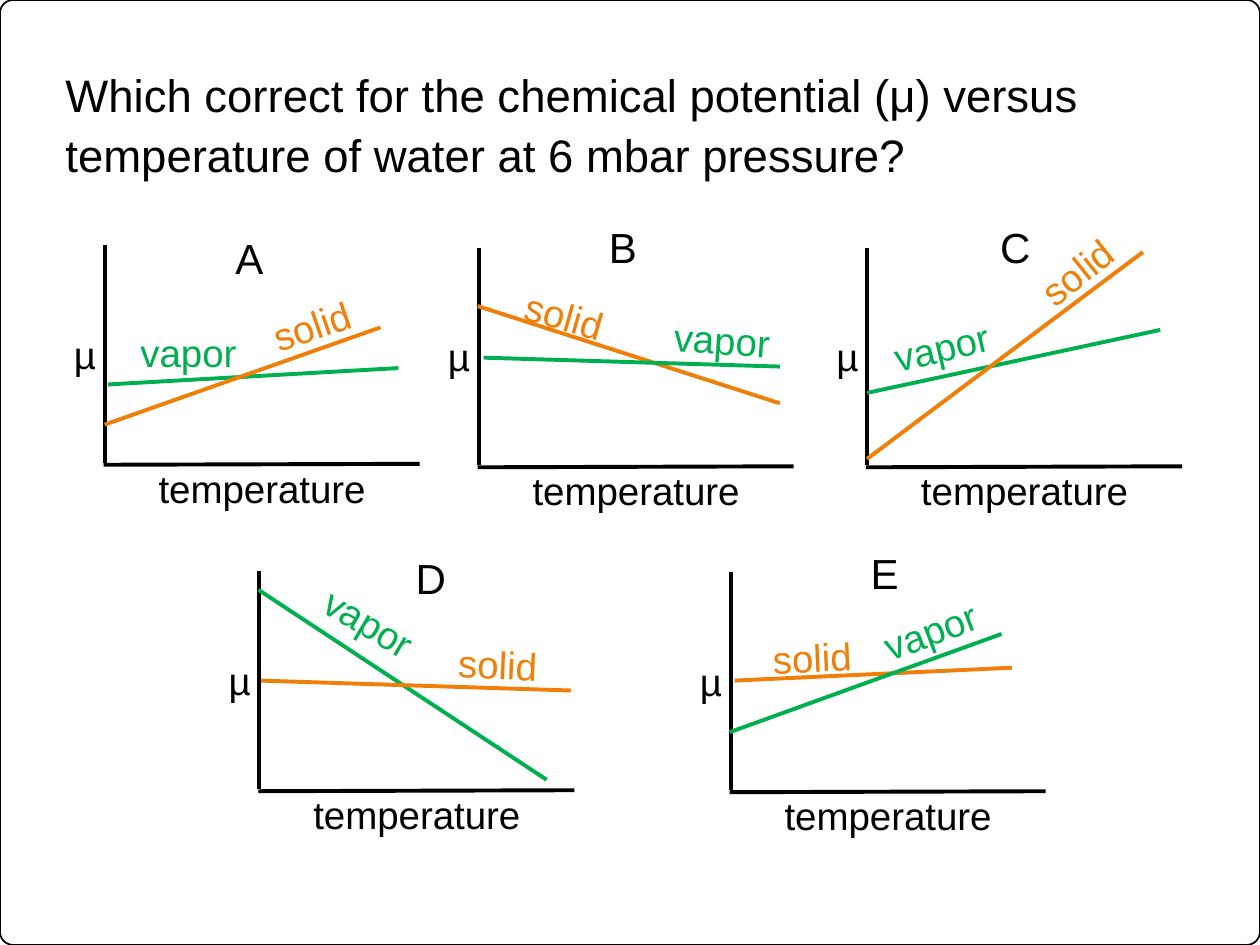
"""Build a quiz slide with five chemical potential versus temperature diagrams."""
from lxml import etree
from pptx import Presentation
from pptx import util as u
from pptx.dml.color import RGBColor
from pptx.enum import shapes, text
from pptx.oxml import ns

BLACK = RGBColor(0x00, 0x00, 0x00)
GREEN = RGBColor(0x00, 0xB0, 0x50)
ORANGE = RGBColor(0xF0, 0x7F, 0x09)
PHASE_COLORS = {"vapor": GREEN, "solid": ORANGE}

QUESTION = ("Which correct for the chemical potential (μ) versus "
            "temperature of water at 6 mbar pressure?")

# Per diagram: letter box (left, top, width), axes origin, and per phase
# the line (x1, y1, x2, y2) and label (left, top, width, rotation), in cm.
DIAGRAMS = {
    "A": ((4.19, 4.57, 1.68), (2.11, 9.37), {
        "vapor": ((8.03, 7.42, 2.18, 7.75), (2.39, 6.5, 2.82, 0)),
        "solid": ((7.67, 6.6, 2.11, 8.56), (4.78, 5.97, 3, 341))}),
    "B": ((11.96, 4.34, 1.19), (9.65, 9.42), {
        "solid": ((9.63, 6.17, 15.72, 8.13), (10.31, 5.77, 2.13, 15.9)),
        "vapor": ((9.75, 7.21, 15.72, 7.39), (13.31, 6.25, 2.49, 4))}),
    "C": ((19.91, 4.34, 0.84), (17.48, 9.42), {
        "vapor": ((17.48, 7.92, 23.39, 6.65), (17.48, 6.4, 3, 346.8)),
        "solid": ((17.48, 9.25, 23.04, 5.08), (20.65, 4.88, 2.13, 321.4))}),
    "D": ((8.13, 11.02, 0.89), (5.23, 15.95), {
        "vapor": ((5.21, 11.89, 11.02, 15.72), (6.2, 11.96, 2.49, 30.8)),
        "solid": ((5.26, 13.72, 11.51, 13.92), (8.97, 12.8, 2.13, 2.6))}),
    "E": ((17.15, 10.92, 1.37), (14.73, 15.97), {
        "solid": ((20.4, 13.46, 14.81, 13.72), (14.96, 12.65, 2.82, 357.3)),
        "vapor": ((20.19, 12.78, 14.71, 14.76), (17.25, 12.12, 3, 339.5))}),
}


class QuizSlide:
    font = "Arial"
    line_width = u.Pt(2.25)

    def __init__(self, slide):
        self.shapes = slide.shapes

    def frame(self, width, height):
        border = self.shapes.add_shape(
            shapes.MSO_SHAPE.ROUNDED_RECTANGLE, 0, 0, width, height)
        border.adjustments[0] = 0.014
        border.shadow.inherit = False
        border.fill.background()
        border.line.color.rgb = BLACK
        border.line.width = u.Pt(1)

    def label(self, words, left, top, width, height=1.19, size=22, color=BLACK,
              rotation=0, wrap=True, align=text.PP_ALIGN.CENTER):
        box = self.shapes.add_textbox(*map(u.Cm, (left, top, width, height)))
        box.rotation = rotation
        box.text_frame.word_wrap = wrap
        box.text_frame.text = words
        paragraph = box.text_frame.paragraphs[0]
        paragraph.alignment = align
        font = paragraph.runs[0].font
        font.name, font.size, font.color.rgb = self.font, u.Pt(size), color
        return box.text_frame

    def question(self, words):
        frame = self.label(words, 1.32, 1.24, 22.33, 3.73, size=26,
                           align=text.PP_ALIGN.LEFT)
        frame.margin_left = frame.margin_right = 0
        frame.margin_top = frame.margin_bottom = 0
        frame.paragraphs[0].line_spacing = 1.1

    def line(self, x1, y1, x2, y2, color=BLACK):
        stroke = self.shapes.add_connector(
            shapes.MSO_CONNECTOR.STRAIGHT, *map(u.Cm, (x1, y1, x2, y2)))
        stroke.line.color.rgb = color
        stroke.line.width = self.line_width
        etree.SubElement(stroke._element.spPr, ns.qn("a:effectLst"))

    def axes(self, x, y):
        self.line(x - 0.02, y, x + 6.35, y - 0.02)
        self.line(x, y - 0.04, x, y - 4.43)
        self.label("µ", x - 0.87, y - 2.83, 0.97, wrap=False,
                   align=text.PP_ALIGN.LEFT)
        self.label("temperature", x + 0.8, y - 0.12, 4.75, wrap=False)

    def diagram(self, letter, letter_box, origin, phases):
        self.label(letter, *letter_box, height=1.27, size=24)
        self.axes(*origin)
        for phase, (ends, (left, top, width, rotation)) in phases.items():
            color = PHASE_COLORS[phase]
            self.line(*ends, color=color)
            self.label(phase, left, top, width, color=color,
                       rotation=rotation, wrap=False)


def main():
    deck = Presentation()
    deck.slide_width, deck.slide_height = u.Cm(25.4), u.Cm(19.05)
    quiz = QuizSlide(deck.slides.add_slide(deck.slide_layouts[6]))
    quiz.frame(deck.slide_width, deck.slide_height)
    quiz.question(QUESTION)
    for letter, parts in DIAGRAMS.items():
        quiz.diagram(letter, *parts)
    deck.save("out.pptx")


if __name__ == "__main__":
    main()
